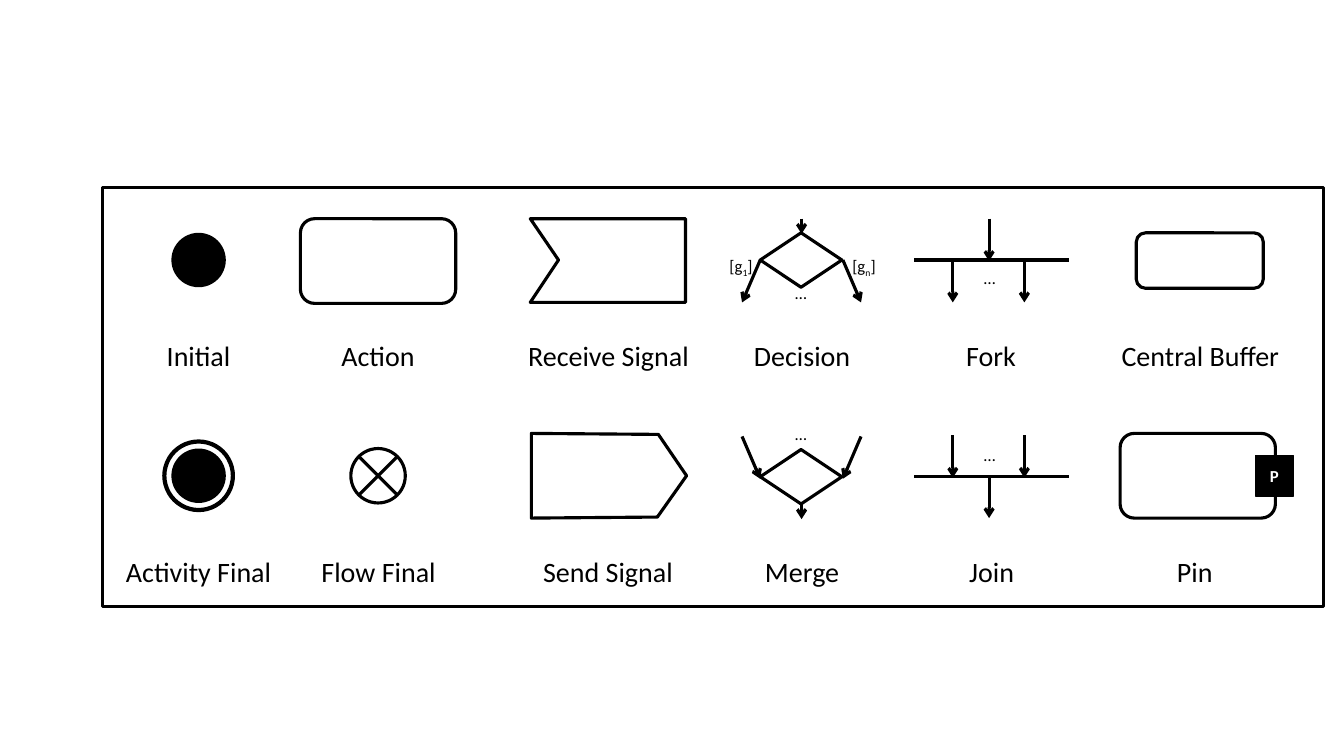
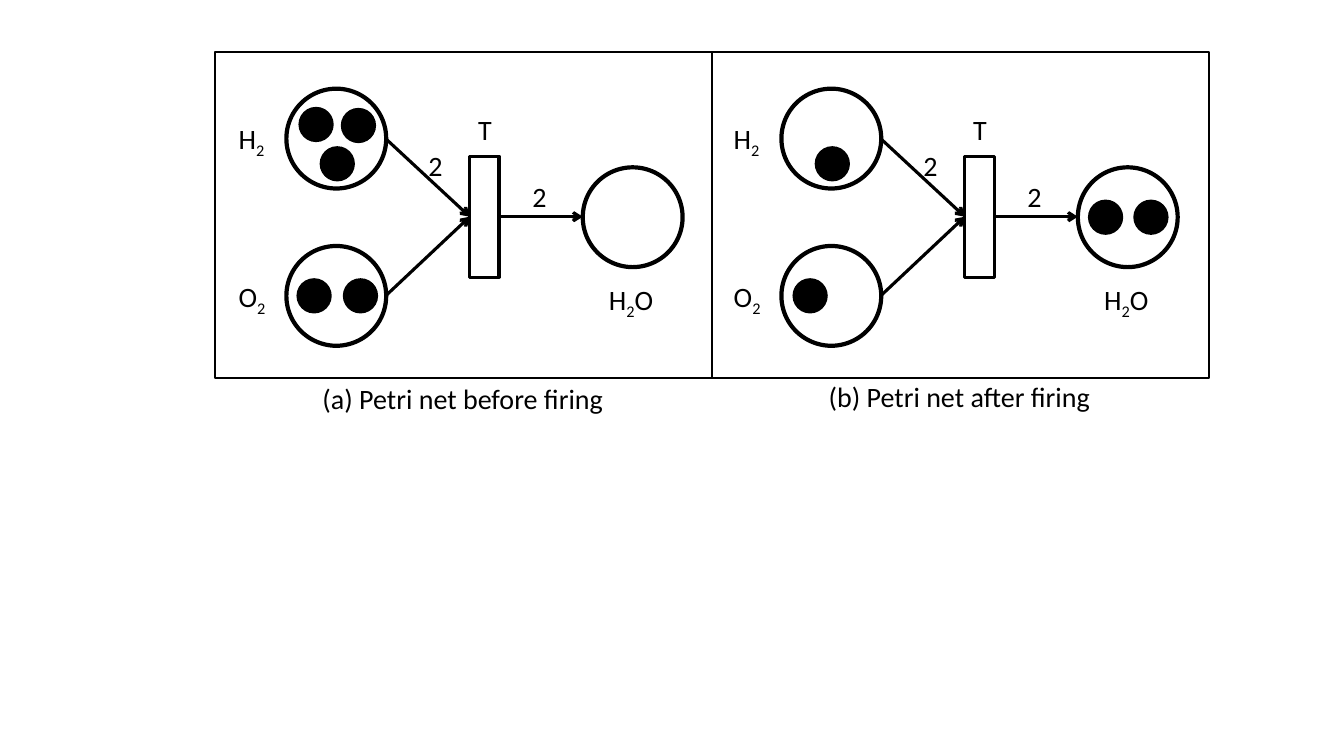
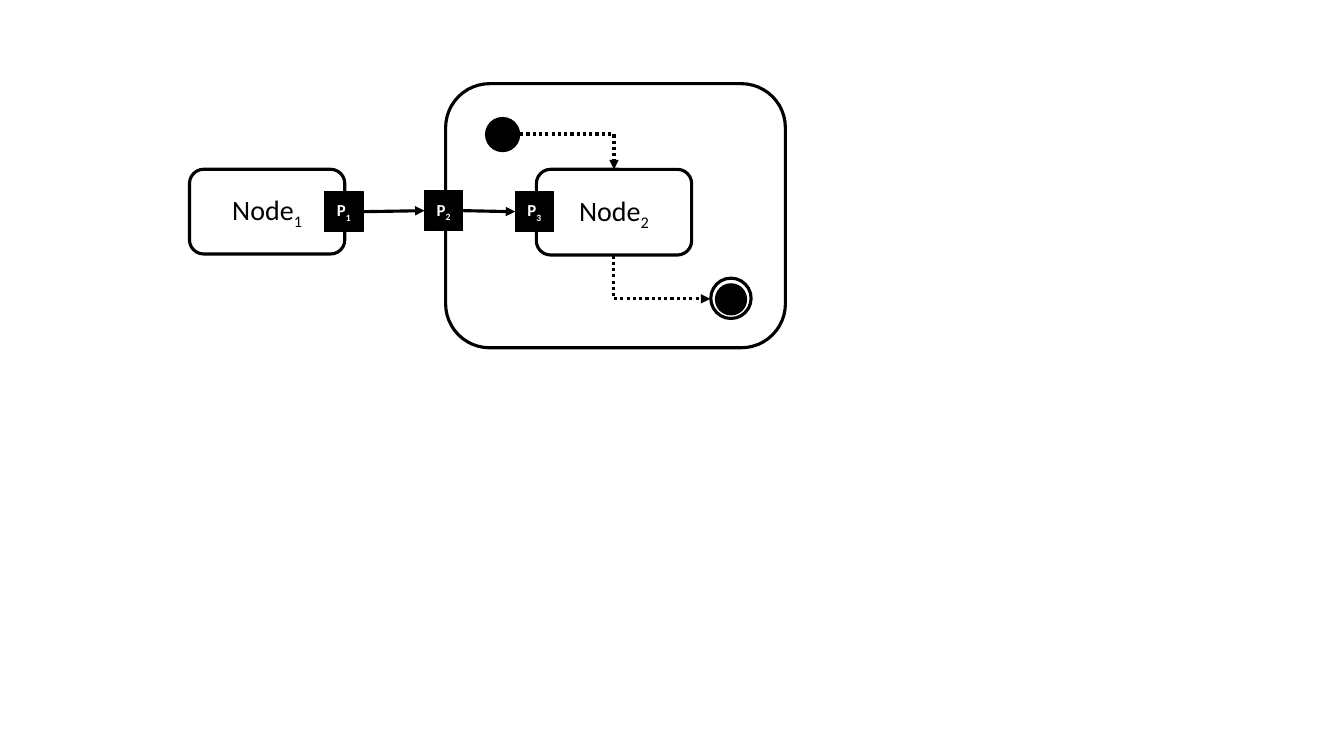
from lxml import etree
from pptx import Presentation
from pptx import util as u
from pptx.dml.color import RGBColor
from pptx.enum import dml, shapes, text
from pptx.oxml import ns


class Theme:
    ink = RGBColor(0, 0, 0)
    paper = RGBColor(255, 255, 255)
    font = "Calibri"
    label, small = 20, 12            # type sizes
    bold, line, thin, hair = 3, 2.25, 1.5, 1  # line widths


PX = 9144  # 100 px to the inch
RECT = shapes.MSO_SHAPE.RECTANGLE
ROUND = shapes.MSO_SHAPE.ROUNDED_RECTANGLE
OVAL = shapes.MSO_SHAPE.OVAL
DIAMOND = shapes.MSO_SHAPE.FLOWCHART_DECISION


def put(page, kind, at, fill=None, width=0, words="", size=Theme.label):
    """Add a preset shape, an outline (list of points) or a text box (None).

    Every second part of words between ~ marks is a subscript.
    """
    if kind is None:
        item = page.shapes.add_textbox(*[n * PX for n in at])
        item.text_frame.word_wrap = False
        item.text_frame.auto_size = text.MSO_AUTO_SIZE.SHAPE_TO_FIT_TEXT
    else:
        if isinstance(kind, list):
            pen = page.shapes.build_freeform(*kind[0], scale=PX)
            pen.add_line_segments(kind[1:], close=True)
            item = pen.convert_to_shape()
        else:
            item = page.shapes.add_shape(kind, *[n * PX for n in at])
        item.shadow.inherit = False
        if fill is None:
            item.fill.background()
        else:
            item.fill.solid()
            item.fill.fore_color.rgb = fill
        if width:
            item.line.color.rgb = Theme.ink
            item.line.width = u.Pt(width)
        else:
            item.line.fill.background()
    if words:
        dark = fill == Theme.ink
        para = item.text_frame.paragraphs[0]
        para.alignment = text.PP_ALIGN.CENTER
        para.font.name = Theme.font
        para.font.size = u.Pt(size)
        para.font.bold = dark
        para.font.color.rgb = Theme.paper if dark else Theme.ink
        for i, part in enumerate(words.split("~")):
            if part:
                run = para.add_run()
                run.text = part
                if i % 2:
                    run._r.get_or_add_rPr().set("baseline", "-25000")
    return item


def wire(page, ends, width=Theme.line, tip=None, dash=None,
         kind=shapes.MSO_CONNECTOR.STRAIGHT):
    """Add a line x1, y1, x2, y2 with an optional arrowhead at its end."""
    item = page.shapes.add_connector(kind, *[n * PX for n in ends])
    item.line.color.rgb = Theme.ink
    item.line.width = u.Pt(width)
    if dash:
        item.line.dash_style = dash
    if tip:
        etree.SubElement(item.line._get_or_add_ln(), ns.qn("a:tailEnd"), type=tip)
    etree.SubElement(item._element.spPr, ns.qn("a:effectLst"))
    return item


deck = Presentation()
deck.slide_width, deck.slide_height = 1333 * PX, 750 * PX
signs, nets, flow = [deck.slides.add_slide(deck.slide_layouts[6]) for _ in range(3)]
ink, paper = Theme.ink, Theme.paper

# Slide 1: activity diagram symbols
put(signs, RECT, (102, 186, 1211, 416), None, Theme.line)

# Names: centre and width, row by row
names = {
    331: [("Initial", 197, 84), ("Action", 375, 94), ("Receive Signal", 603, 181),
          ("Decision", 795, 117), ("Fork", 983, 70), ("Central Buffer", 1190, 179)],
    545: [("Activity Final", 197, 166), ("Flow Final", 375, 135),
          ("Send Signal", 603, 150), ("Merge", 795, 95), ("Join", 983, 65),
          ("Pin", 1185, 56)],
}
for top, row in names.items():
    for name, mid, wide in row:
        put(signs, None, (mid - wide // 2, top, wide, 44), words=name)

# Start and end nodes
for top in (231, 445):
    put(signs, OVAL, (170, top, 54, 54), ink)
put(signs, OVAL, (163, 438, 68, 68), None, Theme.bold)
put(signs, OVAL, (348, 445, 54, 54), None, Theme.line)
for y1, y2 in ((453, 491), (491, 453)):
    wire(signs, (356, y1, 394, y2))

# Action, buffer and pin
for at in ((298, 217, 154, 84), (1127, 231, 126, 55), (1111, 430, 154, 84)):
    put(signs, ROUND, at, paper, Theme.line)
put(signs, RECT, (1245, 452, 38, 40), ink, Theme.hair, "P", Theme.small)

# Signals
put(signs, [(526, 217), (680, 217), (680, 300), (526, 300), (554, 258)],
    None, paper, Theme.line)
put(signs, [(527, 430), (653, 431), (681, 472), (652, 513), (527, 514)],
    None, paper, Theme.line)

# Decision and merge
for top in (231, 446):
    put(signs, DIAMOND, (754, top, 81, 54), paper, Theme.line)
for top in (217, 500):
    wire(signs, (795, top, 795, top + 15), tip="arrow")
for side in (-1, 1):
    near, far = 795 + side * 41, 795 + side * 59
    wire(signs, (near, 258, far, 300), tip="arrow")
    wire(signs, (far, 433, near, 475), tip="arrow")
for left, guard in ((713, "[g~1~]"), (835, "[g~n~]")):
    put(signs, None, (left, 249, 44, 30), words=guard, size=Theme.small)

# Fork and join
for bar in (258, 473):
    wire(signs, (907, bar, 1060, bar))
for x, top in ((981, 217), (945, 258), (1016, 258), (945, 432), (1016, 432), (981, 472)):
    wire(signs, (x, top, x, top + 42), tip="arrow")
for left, top in ((778, 276), (778, 415), (965, 261), (965, 436)):
    put(signs, None, (left, top, 33, 30), words="…", size=Theme.small)

# Slide 2: Petri net before and after firing
put(nets, RECT, (213, 52, 986, 323), None, Theme.thin)
wire(nets, (706, 52, 706, 375), Theme.thin)

before = [(296, 106), (338, 107), (317, 145), (294, 276), (340, 276)]
after = [(317, 145), (295, 276), (588, 198), (633, 198)]
marks = [("H~2~", 226, 116, 47), ("O~2~", 226, 272, 48), ("2", 415, 142, 34),
         ("T", 464, 107, 34), ("2", 518, 173, 34), ("H~2~O", 593, 275, 66)]
for shift, dots in ((0, before), (491, after)):
    for left, top in ((284, 88), (284, 244), (578, 166)):
        put(nets, OVAL, (left + shift, top, 99, 99), None, Theme.bold)
    for left, top in dots:
        put(nets, OVAL, (left + shift, top, 35, 35), ink)
    put(nets, RECT, (466 + shift, 155, 29, 120), paper, Theme.line)
    for x1, y1, x2 in ((383, 138, 466), (383, 293, 466), (495, 215, 578)):
        wire(nets, (x1 + shift, y1, x2 + shift, 215), tip="arrow")
    for mark, left, top, wide in marks:
        put(nets, None, (left + shift, top, wide, 44), words=mark)

put(nets, None, (308, 374, 302, 44), words="(a) Petri net before firing")
put(nets, None, (810, 372, 283, 44), words="(b) Petri net after firing")

# Slide 3: nodes joined through pins
put(flow, ROUND, (442, 83, 337, 262), None, Theme.line)
put(flow, ROUND, (188, 168, 154, 84), paper, Theme.line, "Node~1~")
node = put(flow, ROUND, (532, 168, 154, 85), paper, Theme.line, "Node~2~")
for i, (left, top) in enumerate(((322, 190), (421, 189), (511, 190)), 1):
    put(flow, RECT, (left, top, 38, 40), ink, Theme.hair, f"P~{i}~", Theme.small)
start = put(flow, OVAL, (481, 116, 35, 35), ink)
put(flow, OVAL, (709, 281, 32, 32), ink)
ring = put(flow, OVAL, (705, 276, 40, 40), None, Theme.line)

# Object flow
for ends in ((360, 210, 421, 209), (459, 209, 511, 210)):
    wire(flow, ends, tip="triangle")

# Control flow: one-bend connectors, turned in steps of 1/60000 degree
bends = [((516, 133, 609, 168), 0, (start, 6), (node, 0)),
         ((678, 227, 635, 323), 270, (node, 2), (ring, 2))]
for ends, turn, *links in bends:
    bend = wire(flow, ends, tip="triangle", dash=dml.MSO_LINE.ROUND_DOT,
                kind=shapes.MSO_CONNECTOR.ELBOW)
    form = bend._element.spPr
    form.find(ns.qn("a:prstGeom")).set("prst", "bentConnector2")
    if turn:
        form.find(ns.qn("a:xfrm")).set("rot", str(turn * 60000))
    for tag, (item, site) in zip(("a:stCxn", "a:endCxn"), links):
        etree.SubElement(bend._element.nvCxnSpPr.cNvCxnSpPr, ns.qn(tag),
                         id=str(item.shape_id), idx=str(site))

deck.save("out.pptx")
